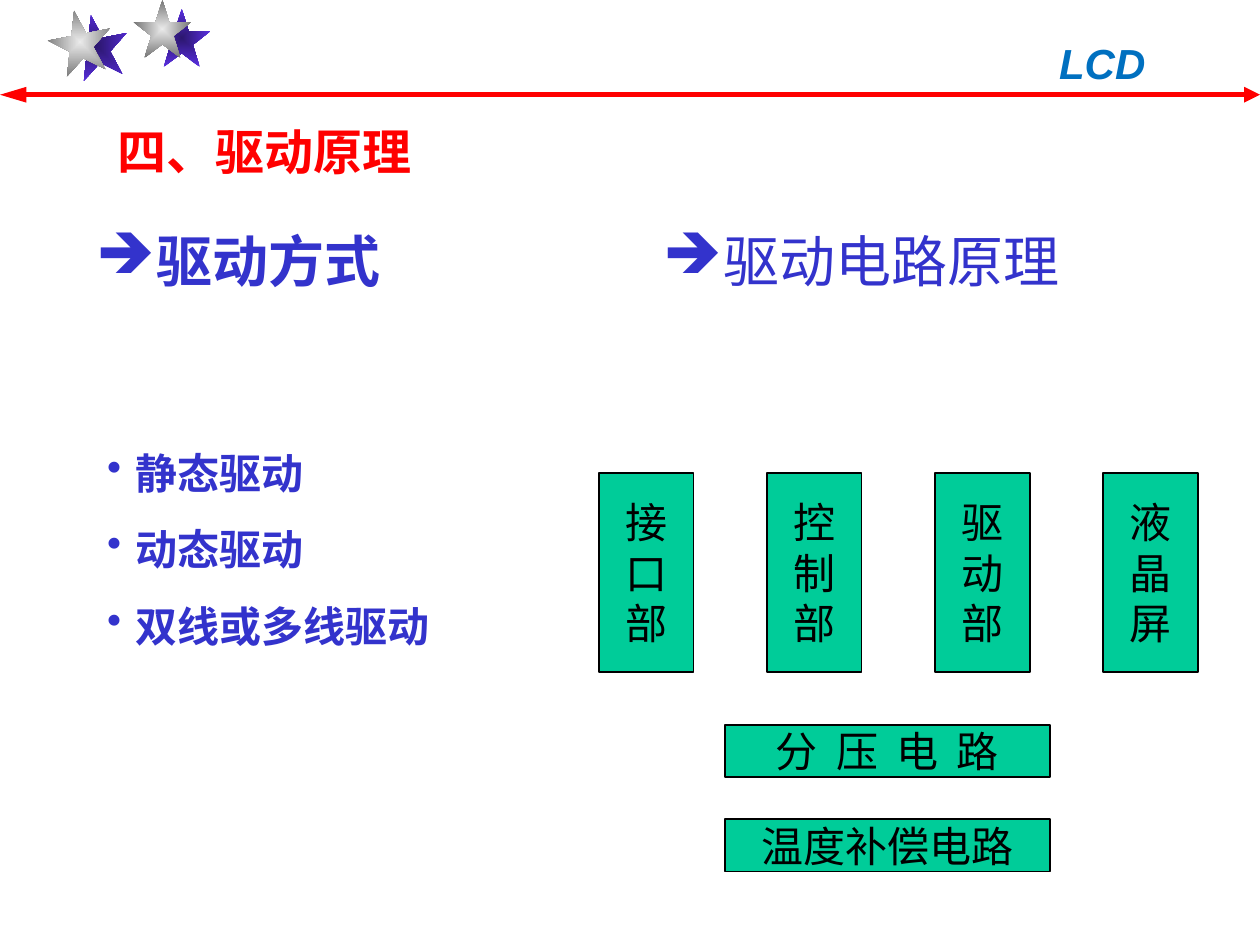
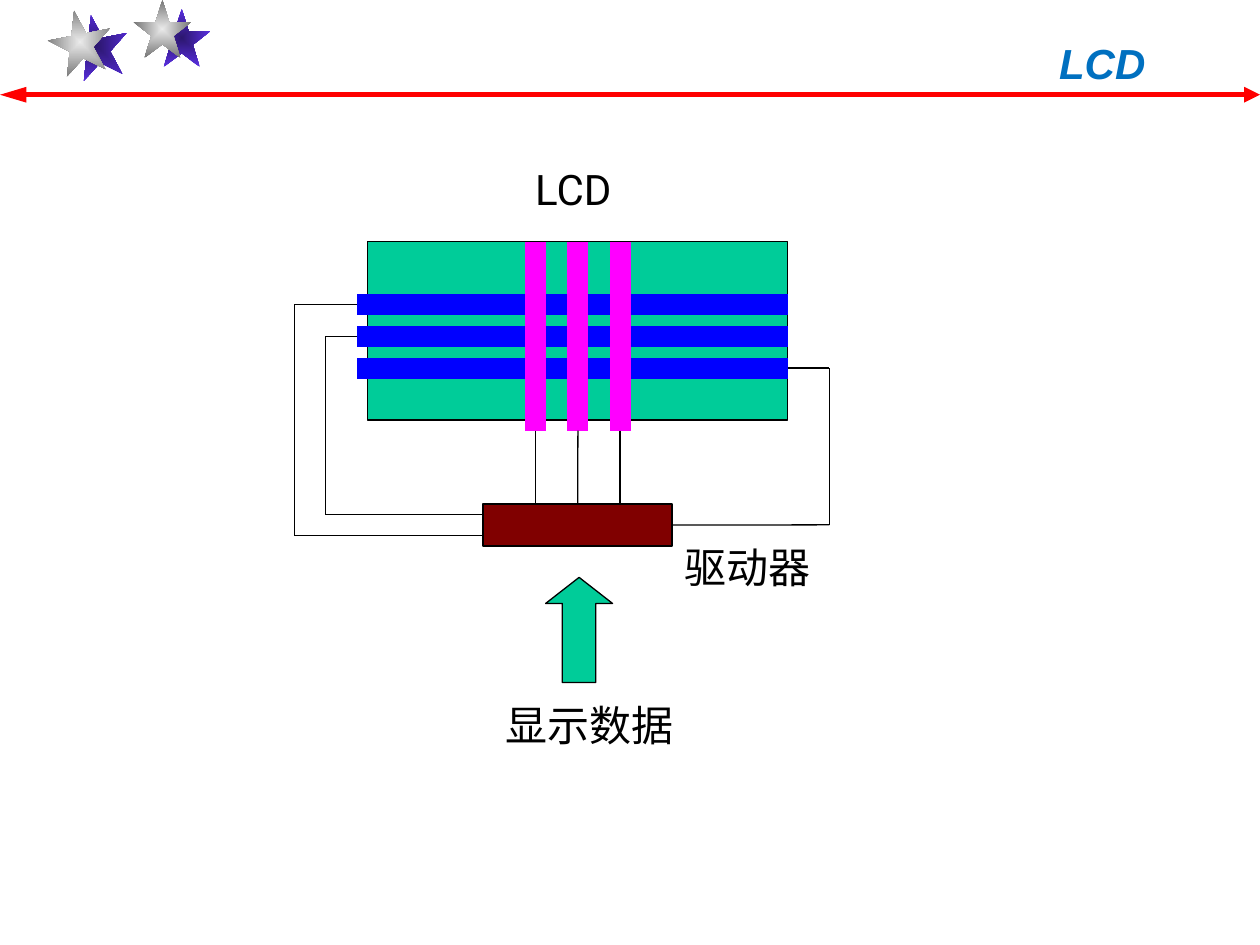
from itertools import pairwise

from lxml import etree
from pptx import Presentation
from pptx.dml.color import RGBColor
from pptx.enum.shapes import MSO_CONNECTOR, MSO_SHAPE
from pptx.enum.text import MSO_ANCHOR, PP_ALIGN
from pptx.oxml.ns import qn
from pptx.util import Cm, Pt

RECT, STAR, UP_ARROW = MSO_SHAPE.RECTANGLE, MSO_SHAPE.STAR_5_POINT, MSO_SHAPE.UP_ARROW
STRAIGHT = MSO_CONNECTOR.STRAIGHT
CENTER, MIDDLE = PP_ALIGN.CENTER, MSO_ANCHOR.MIDDLE
TOP, RIGHT = 0, 3

BLACK = RGBColor(0x00, 0x00, 0x00)
RED = RGBColor(0xFF, 0x00, 0x00)
SKY = RGBColor(0x00, 0x70, 0xC0)
INDIGO = RGBColor(0x33, 0x33, 0xCC)
GREEN = RGBColor(0x00, 0xCC, 0x99)
MAROON = RGBColor(0x80, 0x00, 0x00)
BLUE = RGBColor(0x00, 0x00, 0xFF)
MAGENTA = RGBColor(0xFF, 0x00, 0xFF)
PURPLE = RGBColor(0x2C, 0x17, 0x6F), RGBColor(0x59, 0x2F, 0xDF)
SILVER = RGBColor(0xEA, 0xEA, 0xEA), RGBColor(0x75, 0x75, 0x75)

SERIF, SANS, LABEL = "Times New Roman", "Arial", "Roboto"


class Deck:
    """Holds the presentation, its shared style and the current slide."""

    def __init__(self):
        self.prs = Presentation()
        self.prs.slide_width, self.prs.slide_height = Cm(25.4), Cm(19.05)
        self.s = None

    def new_slide(self):
        self.s = self.prs.slides.add_slide(self.prs.slide_layouts[6])
        self.text("LCD", 21.1, 0.64, 3, SKY, font=SANS, bold=True, italic=True)
        self.star(3.08, 0.18, 1.17, PURPLE)
        self.star(2.69, 0, 1.17, SILVER)
        self.star(1.32, 0.3, 1.27, PURPLE, -11)
        self.star(0.98, 0.21, 1.27, SILVER, -11)
        rule = self.line((0, 1.91), (25.4, 1.91), RED, 3)
        ln = rule.line._get_or_add_ln()
        etree.SubElement(ln, qn("a:headEnd"), type="triangle", len="lg")
        etree.SubElement(ln, qn("a:tailEnd"), type="triangle")

    def set_text(self, tf, text, size, color, font, bold=False, italic=False,
                 bullet=None, indent=0, gap=0, align=None):
        tf.text = text
        for i, p in enumerate(tf.paragraphs):
            p.alignment = align
            if i and gap:
                p.space_before = Pt(gap)
            if bullet:
                pPr = p._p.get_or_add_pPr()
                pPr.set("marL", str(Cm(indent)))
                pPr.set("indent", str(-Cm(indent)))
                etree.SubElement(pPr, qn("a:buChar"), char=bullet)
            for r in p.runs:
                f = r.font
                f.size, f.name, f.bold, f.italic = Pt(size), font, bold, italic
                f.color.rgb = color

    def text(self, text, x, y, w, color=BLACK, size=24, font=SERIF, h=1.27, **style):
        tf = self.s.shapes.add_textbox(Cm(x), Cm(y), Cm(w), Cm(h)).text_frame
        tf.word_wrap = True
        self.set_text(tf, text, size, color, font, **style)

    def shape(self, kind, x, y, w, h, fill, width=0.75):
        sp = self.s.shapes.add_shape(kind, Cm(x), Cm(y), Cm(w), Cm(h))
        sp.shadow.inherit = False
        sp.fill.solid()
        sp.fill.fore_color.rgb = fill
        sp.line.color.rgb = BLACK
        sp.line.width = Pt(width)
        return sp

    def block(self, text, x, y, w, h):
        tf = self.shape(RECT, x, y, w, h, GREEN, 1).text_frame
        tf.word_wrap = False
        tf.vertical_anchor = MIDDLE
        self.set_text(tf, text, 24, BLACK, SERIF, align=CENTER)
        return tf

    def star(self, x, y, size, colors, angle=0):
        sp = self.shape(STAR, x, y, size, size, colors[0])
        sp.line.fill.background()
        sp.rotation = angle
        sp.fill.gradient()
        for stop, color in zip(sp.fill.gradient_stops, colors):
            stop.color.rgb = color
        grad = sp._element.spPr.find(qn("a:gradFill"))
        grad.remove(grad.find(qn("a:lin")))
        shade = etree.SubElement(grad, qn("a:path"), {"path": "rect"})
        etree.SubElement(shade, qn("a:fillToRect"), {side: "50000" for side in "ltrb"})

    def line(self, start, end, color=BLACK, width=0.75):
        c = self.s.shapes.add_connector(STRAIGHT, *(Cm(v) for v in (*start, *end)))
        c.line.color.rgb = color
        c.line.width = Pt(width)
        etree.SubElement(c._element.spPr, qn("a:effectLst"))
        return c

    def wire(self, *points):
        return [self.line(a, b) for a, b in pairwise(points)][-1]


def driving_principle(deck):
    deck.new_slide()
    deck.text("四、驱动原理", 2.12, 2.33, 7.62, RED, 28, bold=True)
    arrow = dict(color=INDIGO, size=32, bullet="➔", indent=0.9)
    deck.text("驱动方式", 1.69, 4.45, 7.41, bold=True, **arrow)
    deck.text("驱动电路原理", 13.12, 4.45, 9.31, **arrow)
    deck.text("静态驱动\n动态驱动\n双线或多线驱动", 1.91, 8.89, 7.83, INDIGO, h=4.37,
              bold=True, bullet="•", indent=0.58, gap=15)
    for i, part in enumerate(("接口部", "控制部", "驱动部", "液晶屏")):
        deck.block("\n".join(part), 12.07 + i * 3.39, 9.53, 1.91, 4.02)
    divider = deck.block("分 压 电 路", 14.61, 14.61, 6.56, 1.06)
    divider.paragraphs[0].runs[0]._r.get_or_add_rPr().set("spc", "260")
    deck.block("温度补偿电路", 14.61, 16.51, 6.56, 1.06)


def matrix_wiring(deck):
    deck.new_slide()
    deck.shape(RECT, 7.41, 4.87, 8.47, 3.6, GREEN)
    driver = deck.shape(RECT, 9.74, 10.16, 3.81, 0.85, MAROON)
    rows = [6.14 + i * 0.64 for i in range(3)]
    columns = [10.8 + i * 0.85 for i in range(3)]
    for y in rows:
        deck.line((7.2, y), (15.88, y), BLUE, 12)
    for x in columns:
        deck.line((x, 8.68), (x, 4.87), MAGENTA, 12)
    leads = [deck.line((x, 8.68), (x, 10.16)) for x in columns]
    leads[1].end_connect(driver, TOP)
    for row, x, y in ((rows[0], 5.93, 10.8), (rows[1], 6.56, 10.37)):
        deck.wire((7.2, row), (x, row), (x, y), (9.74, y))
    last = deck.wire((15.88, rows[2]), (16.72, rows[2]), (16.72, 10.58), (13.55, 10.58))
    last.end_connect(driver, RIGHT)
    data_arrow = deck.shape(UP_ARROW, 11, 11.64, 1.35, 2.12, GREEN)
    data_arrow.adjustments[1] = 0.39
    deck.text("LCD", 10.54, 3.18, 2.2, font=LABEL)
    deck.text("驱动器", 13.55, 10.8, 4.02, font=LABEL)
    deck.text("显示数据", 9.95, 13.97, 4.2, font=LABEL)


def main():
    deck = Deck()
    driving_principle(deck)
    matrix_wiring(deck)
    deck.prs.save("out.pptx")


if __name__ == "__main__":
    main()
